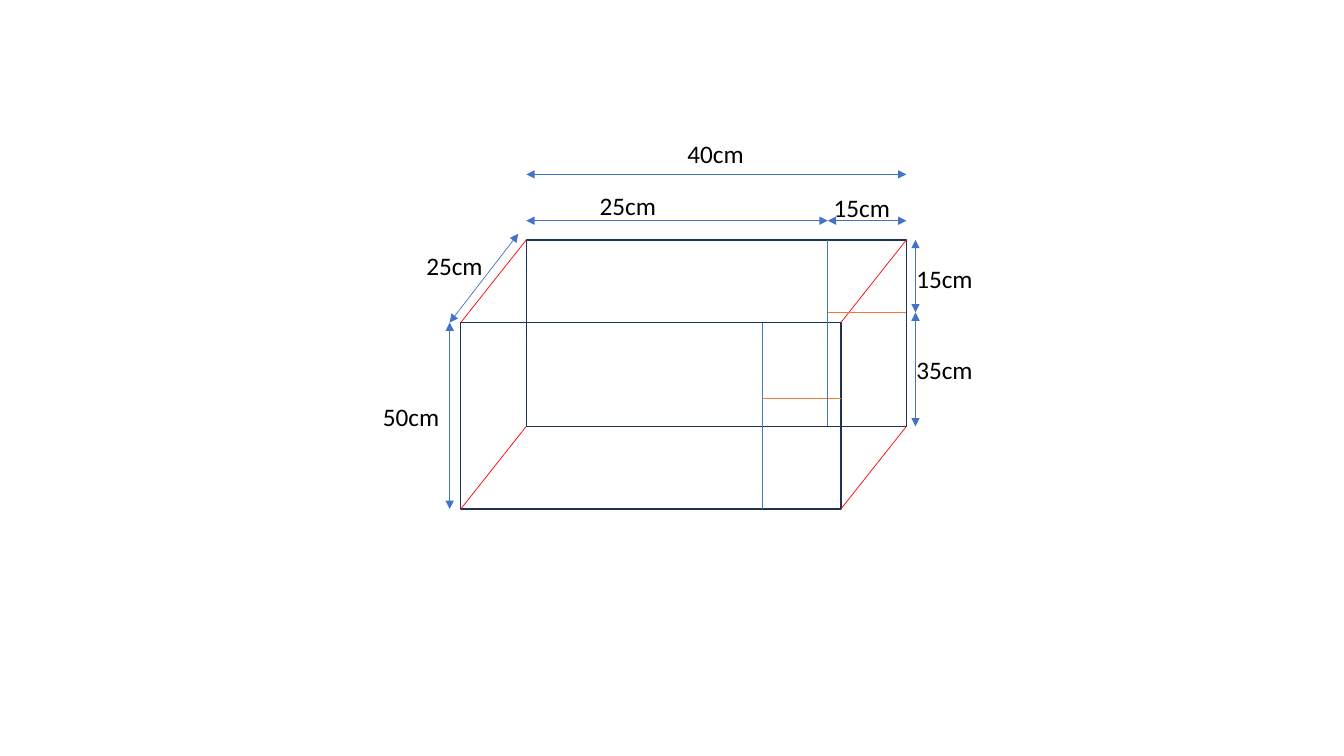
from typing import NamedTuple

from lxml import etree
from pptx import Presentation
from pptx.dml.color import RGBColor
from pptx.enum.shapes import MSO_CONNECTOR, MSO_SHAPE
from pptx.enum.text import MSO_AUTO_SIZE
from pptx.oxml.ns import qn
from pptx.util import Inches, Pt

STRAIGHT = MSO_CONNECTOR.STRAIGHT
RECTANGLE = MSO_SHAPE.RECTANGLE
FIT_SHAPE = MSO_AUTO_SIZE.SHAPE_TO_FIT_TEXT
BLANK_LAYOUT = 6
FONT = "Calibri"
COLORS = {
    "frame": "1E3256",
    "depth": "FF0000",
    "divider": "4472C4",
    "shelf": "ED7D31",
    "dimension": "4472C4",
    "text": "000000",
}

# Box geometry in inches
WIDTH, HEIGHT = 3.77, 1.85
COMPARTMENT_WIDTH = 0.78
LABEL_WIDTH, LABEL_HEIGHT = 0.77, 0.4


class Point(NamedTuple):
    x: float
    y: float


class Face(NamedTuple):
    left: float
    top: float
    shelf_drop: float

    @property
    def right(self) -> float:
        return self.left + WIDTH

    @property
    def bottom(self) -> float:
        return self.top + HEIGHT

    @property
    def divider(self) -> float:
        return self.right - COMPARTMENT_WIDTH

    @property
    def shelf(self) -> float:
        return self.top + self.shelf_drop

    @property
    def corners(self) -> list[Point]:
        return [Point(x, y) for x in (self.left, self.right)
                for y in (self.top, self.bottom)]


class Dimension(NamedTuple):
    text: str
    start: Point
    end: Point
    label: Point


def draw_face(slide, face: Face) -> None:
    shape = slide.shapes.add_shape(
        RECTANGLE, Inches(face.left), Inches(face.top), Inches(WIDTH), Inches(HEIGHT))
    shape.shadow.inherit = False
    shape.fill.background()
    shape.line.color.rgb = RGBColor.from_string(COLORS["frame"])
    shape.line.width = Pt(1)


def draw_line(slide, start: Point, end: Point, color: str, arrows: bool = False) -> None:
    connector = slide.shapes.add_connector(
        STRAIGHT, Inches(start.x), Inches(start.y), Inches(end.x), Inches(end.y))
    connector.line.color.rgb = RGBColor.from_string(COLORS[color])
    connector.line.width = Pt(0.5)
    properties = connector._element.spPr
    etree.SubElement(properties, qn("a:effectLst"))
    if arrows:
        for tag in ("a:headEnd", "a:tailEnd"):
            etree.SubElement(properties.find(qn("a:ln")), qn(tag), type="triangle")


def draw_dimension(slide, dimension: Dimension) -> None:
    draw_line(slide, dimension.start, dimension.end, "dimension", arrows=True)
    label = slide.shapes.add_textbox(
        Inches(dimension.label.x), Inches(dimension.label.y),
        Inches(LABEL_WIDTH), Inches(LABEL_HEIGHT))
    text_frame = label.text_frame
    text_frame.word_wrap = False
    text_frame.auto_size = FIT_SHAPE
    text_frame.text = dimension.text
    font = text_frame.paragraphs[0].runs[0].font
    font.name = FONT
    font.size = Pt(18)
    font.color.rgb = RGBColor.from_string(COLORS["text"])


presentation = Presentation()
presentation.slide_width = Inches(13.33)
presentation.slide_height = Inches(7.5)
slide = presentation.slides.add_slide(presentation.slide_layouts[BLANK_LAYOUT])

# Front and back faces, joined at the corners
front = Face(4.57, 3.2, 0.75)
back = Face(5.22, 2.38, 0.72)
for face in (front, back):
    draw_face(slide, face)
for front_corner, back_corner in zip(front.corners, back.corners):
    draw_line(slide, front_corner, back_corner, "depth")

# Divider and shelf on each face
for face in (front, back):
    draw_line(slide, Point(face.divider, face.top),
              Point(face.divider, face.bottom), "divider")
    draw_line(slide, Point(face.divider, face.shelf),
              Point(face.right, face.shelf), "shelf")

# Dimension arrows with labels
TOTAL_Y, PARTS_Y = 1.73, 2.19
LEFT_X, RIGHT_X = 4.46, 9.08
DIMENSIONS = [
    Dimension("40cm", Point(back.left, TOTAL_Y), Point(back.right, TOTAL_Y),
              Point(6.72, 1.32)),
    Dimension("25cm", Point(back.left, PARTS_Y), Point(back.divider, PARTS_Y),
              Point(5.85, 1.84)),
    Dimension("15cm", Point(back.divider, PARTS_Y), Point(back.right, PARTS_Y),
              Point(8.17, 1.86)),
    Dimension("25cm", Point(LEFT_X, front.top), Point(5.14, 2.32), Point(4.13, 2.43)),
    Dimension("50cm", Point(LEFT_X, front.bottom), Point(LEFT_X, front.top),
              Point(3.7, 3.93)),
    Dimension("15cm", Point(RIGHT_X, back.top), Point(RIGHT_X, back.shelf),
              Point(back.right, 2.56)),
    Dimension("35cm", Point(RIGHT_X, back.shelf), Point(RIGHT_X, back.bottom),
              Point(back.right, 3.47)),
]
for dimension in DIMENSIONS:
    draw_dimension(slide, dimension)

presentation.save("out.pptx")
